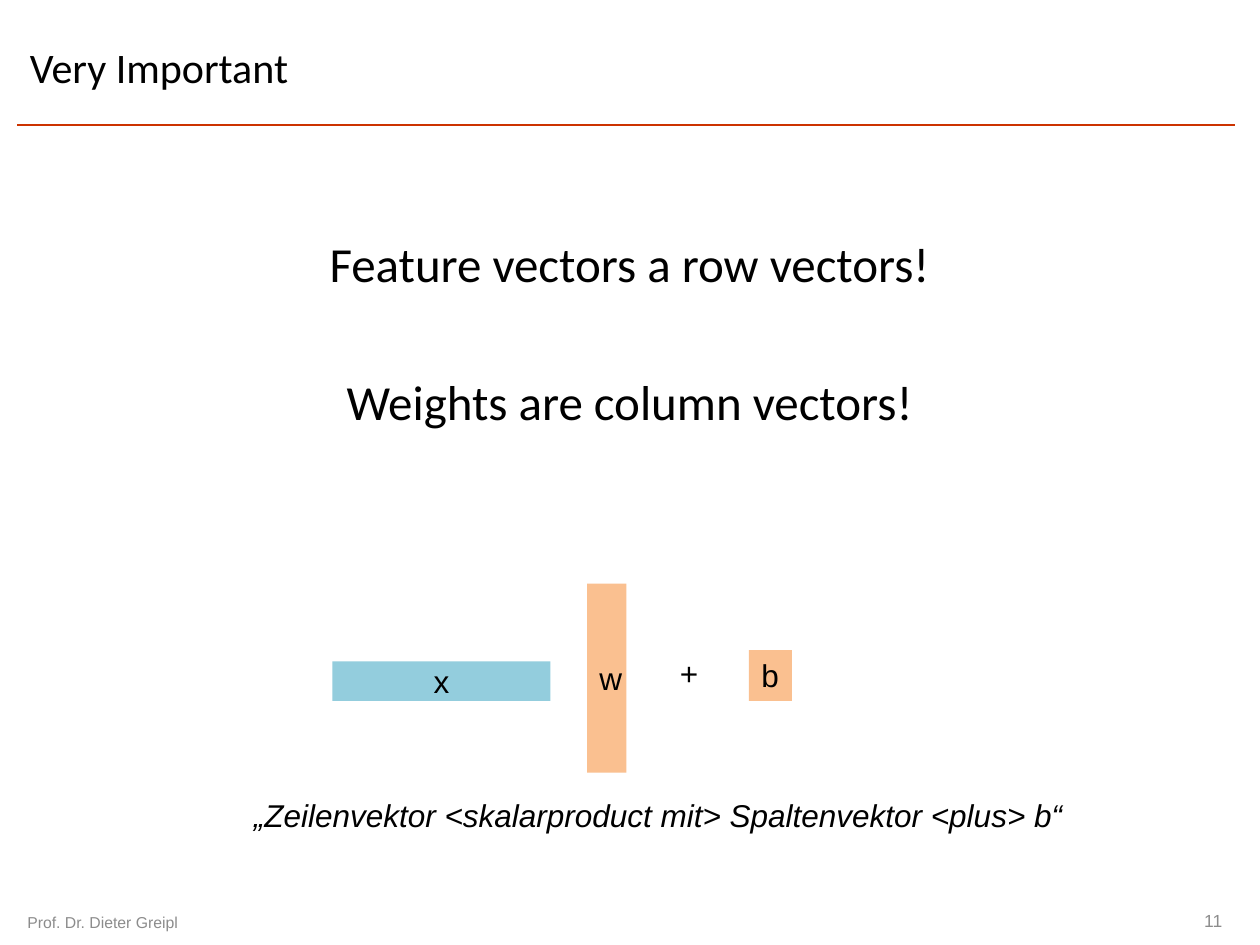
from dataclasses import dataclass
from pptx import Presentation
from pptx.dml.color import RGBColor as Rgb
from pptx.enum.shapes import MSO_CONNECTOR as Conn, MSO_SHAPE as Shape
from pptx.enum.text import MSO_ANCHOR as Anchor, PP_ALIGN as Align
from pptx.oxml.ns import qn
from pptx.util import Pt
from lxml import etree


@dataclass(frozen=True)
class Theme:
    head: str = "Calibri"
    body: str = "Arial"
    ink: str = "000000"
    gray: str = "8C8C8C"
    rule: str = "CC3300"
    blue: str = "93CDDD"
    peach: str = "FAC090"
    title: float = 24
    lead: float = 28
    math: float = 18
    foot: float = 9
    page: float = 10


T = Theme()


def write(shape, lines, size, face=T.body, color=T.ink, align=Align.LEFT,
          anchor=Anchor.TOP, wrap=True, gap=0, italic=False):
    frame = shape.text_frame
    frame.word_wrap = wrap
    frame.vertical_anchor = anchor
    for i, line in enumerate(lines):
        para = frame.paragraphs[0] if i == 0 else frame.add_paragraph()
        para.text = line
        para.alignment = align
        para.space_before = Pt(gap if i else 0)
        font = para.font
        font.name, font.size, font.italic = face, Pt(size), italic
        font.color.rgb = Rgb.from_string(color)


def label(slide, box, lines, size, **style):
    write(slide.shapes.add_textbox(*map(Pt, box)), lines, size, **style)


def block(slide, box, text, fill, **style):
    rect = slide.shapes.add_shape(Shape.RECTANGLE, *map(Pt, box))
    rect.shadow.inherit = False
    rect.fill.solid()
    rect.fill.fore_color.rgb = Rgb.from_string(fill)
    rect.line.fill.background()
    write(rect, [text], T.math, **style)


# Title with the rule under it
def header(slide, box, text):
    x, y, w, h = box
    end = y + h
    line = slide.shapes.add_connector(
        Conn.STRAIGHT, Pt(x), Pt(end), Pt(x + w), Pt(end))
    line.line.color.rgb = Rgb.from_string(T.rule)
    line.line.width = Pt(1)
    etree.SubElement(line._element.spPr, qn("a:effectLst"))
    label(slide, (x, y, 634, h), [text], T.title, face=T.head,
          anchor=Anchor.MIDDLE)


# Two main statements
def lead(slide, box, lines):
    label(slide, box, lines, T.lead, face=T.head, align=Align.CENTER, gap=45)


# Row vector times column vector plus bias, with its caption
def formula(slide, box, note):
    x, y, w, h = box
    mid = dict(align=Align.CENTER, anchor=Anchor.MIDDLE)
    block(slide, (x + 52, y + 44.5, 124.5, 22.5), "x", T.blue, **mid)
    block(slide, (x + 197.5, y, 22.5, 108), "w", T.peach, **mid)
    block(slide, (x + 290, y + 38, 24.5, 29), "b", T.peach, wrap=False)
    label(slide, (x + 243.5, y + 36.5, 25, 29), ["+"], T.math, wrap=False)
    label(slide, (x, y + h - 29, w, 29), [note], T.math, wrap=False,
          italic=True)


# Author on the left, page number on the right
def footer(slide, box, name, page):
    x, y, w, h = box
    half = 170
    style = dict(color=T.gray, anchor=Anchor.MIDDLE)
    label(slide, (x, y, half, h + 1.5), [name], T.foot, **style)
    label(slide, (x + w - half, y, half, h), [page], T.page,
          align=Align.RIGHT, **style)


deck = Presentation()
deck.slide_width, deck.slide_height = Pt(720), Pt(540)
slide = deck.slides.add_slide(deck.slide_layouts[6])
header(slide, (10, 4.5, 695.5, 67), "Very Important")
lead(slide, (138, 130, 443.5, 132),
     ["Feature vectors a row vectors!", "Weights are column vectors!"])
formula(slide, (138, 333.5, 482, 147),
        "„Zeilenvektor <skalarproduct mit> Spaltenvektor <plus> b“")
footer(slide, (8.5, 515.5, 697, 21.5), "Prof. Dr. Dieter Greipl", "11")
deck.save("out.pptx")
